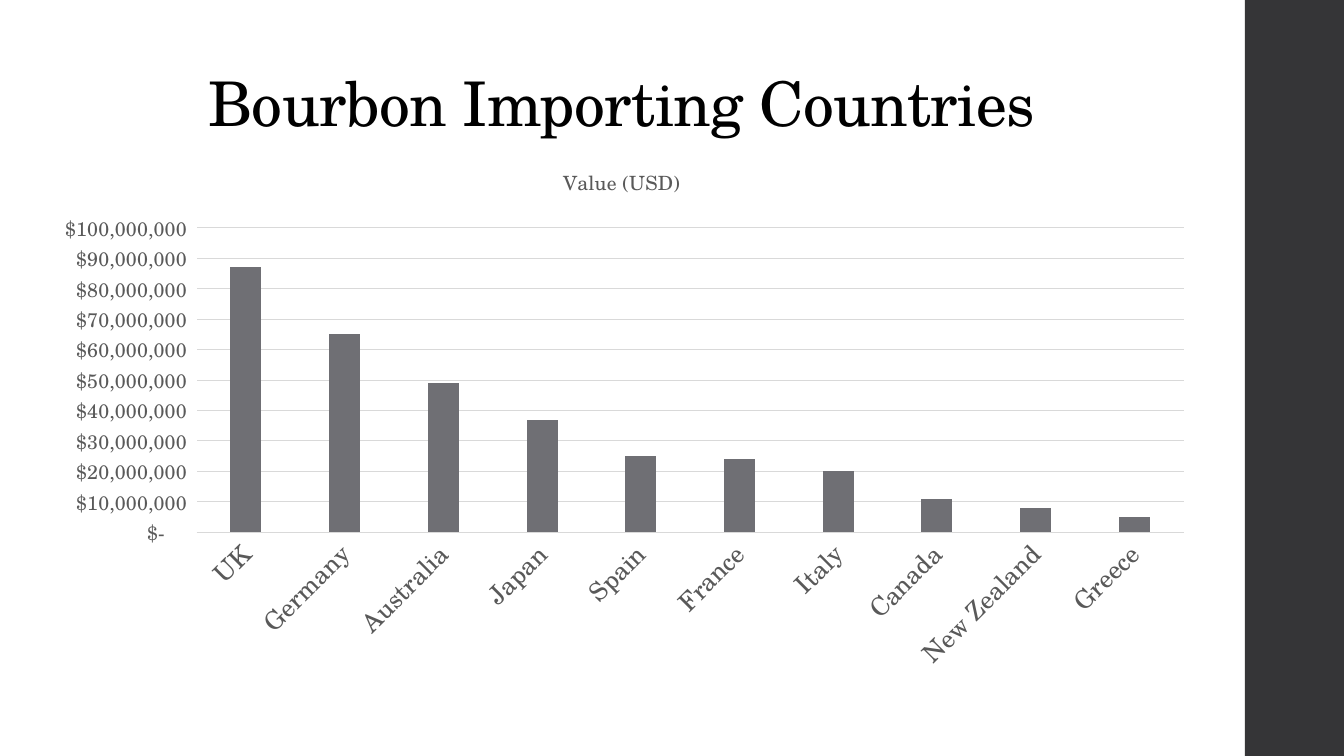
from pptx import Presentation
from pptx.chart.data import CategoryChartData
from pptx.dml.color import RGBColor
from pptx.enum.chart import XL_CHART_TYPE, XL_TICK_MARK
from pptx.enum.shapes import MSO_SHAPE
from pptx.enum.text import MSO_ANCHOR, PP_ALIGN
from pptx.util import Cm, Pt

FACE = "TeX Gyre Schola"
INK, GREY, RULE, BAR, BAND = "000000", "595959", "D9D9D9", "6F6F74", "353537"
MONEY = '_("$"* #,##0_);_("$"* \\(#,##0\\);_("$"* "-"??_);_(@_)'
MILLION = 1_000_000
IMPORTS = {
    "UK": 87, "Germany": 65, "Australia": 49, "Japan": 37, "Spain": 25,
    "France": 24, "Italy": 20, "Canada": 11, "New Zealand": 8, "Greece": 5,
}


def paint(color, code):
    """Set a fill or font colour format from a hex string."""
    color.rgb = RGBColor.from_string(code)


def style(font, size, code):
    """Give a font the deck's face, a size and a colour."""
    font.name, font.size, font.bold = FACE, Pt(size), False
    paint(font.color, code)


def rule(line):
    """Draw a thin pale line."""
    line.width = Pt(0.75)
    paint(line.color, RULE)


def add_band(slide, left, top, width, height):
    """Add the dark side band."""
    band = slide.shapes.add_shape(MSO_SHAPE.RECTANGLE, left, top, width, height)
    band.shadow.inherit = False
    band.fill.solid()
    paint(band.fill.fore_color, BAND)
    band.line.fill.background()


def add_title(slide, text, left, top, width, height):
    """Add the centred slide title."""
    frame = slide.shapes.add_textbox(left, top, width, height).text_frame
    frame.word_wrap = True
    frame.vertical_anchor = MSO_ANCHOR.BOTTOM
    para = frame.paragraphs[0]
    para.alignment = PP_ALIGN.CENTER
    para.line_spacing = 0.9
    run = para.add_run()
    run.text = text
    style(run.font, 44, INK)
    run._r.get_or_add_rPr().set("spc", "-50")


def style_axis(axis, size):
    """Set an axis's label font and hide its ticks."""
    axis.major_tick_mark = axis.minor_tick_mark = XL_TICK_MARK.NONE
    style(axis.tick_labels.font, size, GREY)


def add_bars(slide, name, items, left, top, width, height):
    """Add the column chart of import values."""
    data = CategoryChartData(number_format=MONEY)
    data.categories = list(items)
    data.add_series(name, [value * MILLION for value in items.values()])
    chart = slide.shapes.add_chart(
        XL_CHART_TYPE.COLUMN_CLUSTERED, left, top, width, height, data
    ).chart
    style(chart.font, 10, INK)
    chart.has_legend = False
    chart.has_title = True
    run = chart.chart_title.text_frame.paragraphs[0].add_run()
    run.text = name
    style(run.font, 14, GREY)
    chart.chart_title.include_in_layout = False

    plot = chart.plots[0]
    plot.vary_by_categories = False
    plot.gap_width, plot.overlap = 219, -27
    fill = plot.series[0].format.fill
    fill.solid()
    paint(fill.fore_color, BAR)

    base, scale = chart.category_axis, chart.value_axis
    style_axis(base, 18)
    rule(base.format.line)
    base._element.get_or_add_txPr().bodyPr.set("rot", "-2700000")
    style_axis(scale, 14)
    scale.format.line.fill.background()
    scale.has_major_gridlines = True
    rule(scale.major_gridlines.format.line)
    scale.minimum_scale, scale.maximum_scale = 0, 100 * MILLION
    scale.major_unit = 10 * MILLION
    scale.tick_labels.number_format = MONEY
    scale.tick_labels.number_format_is_linked = False


def main():
    """Build and save the slide."""
    deck = Presentation()
    deck.slide_width, deck.slide_height = Cm(33.87), Cm(19.05)
    slide = deck.slides.add_slide(deck.slide_layouts[6])
    left, width = Cm(0.91), Cm(29.51)
    add_band(slide, Cm(31.37), 0, Cm(2.5), deck.slide_height)
    add_title(slide, "Bourbon Importing Countries", left, Cm(1.02), width, Cm(2.64))
    add_bars(slide, "Value (USD)", IMPORTS, left, Cm(3.66), width, Cm(13.51))
    deck.save("out.pptx")


main()
